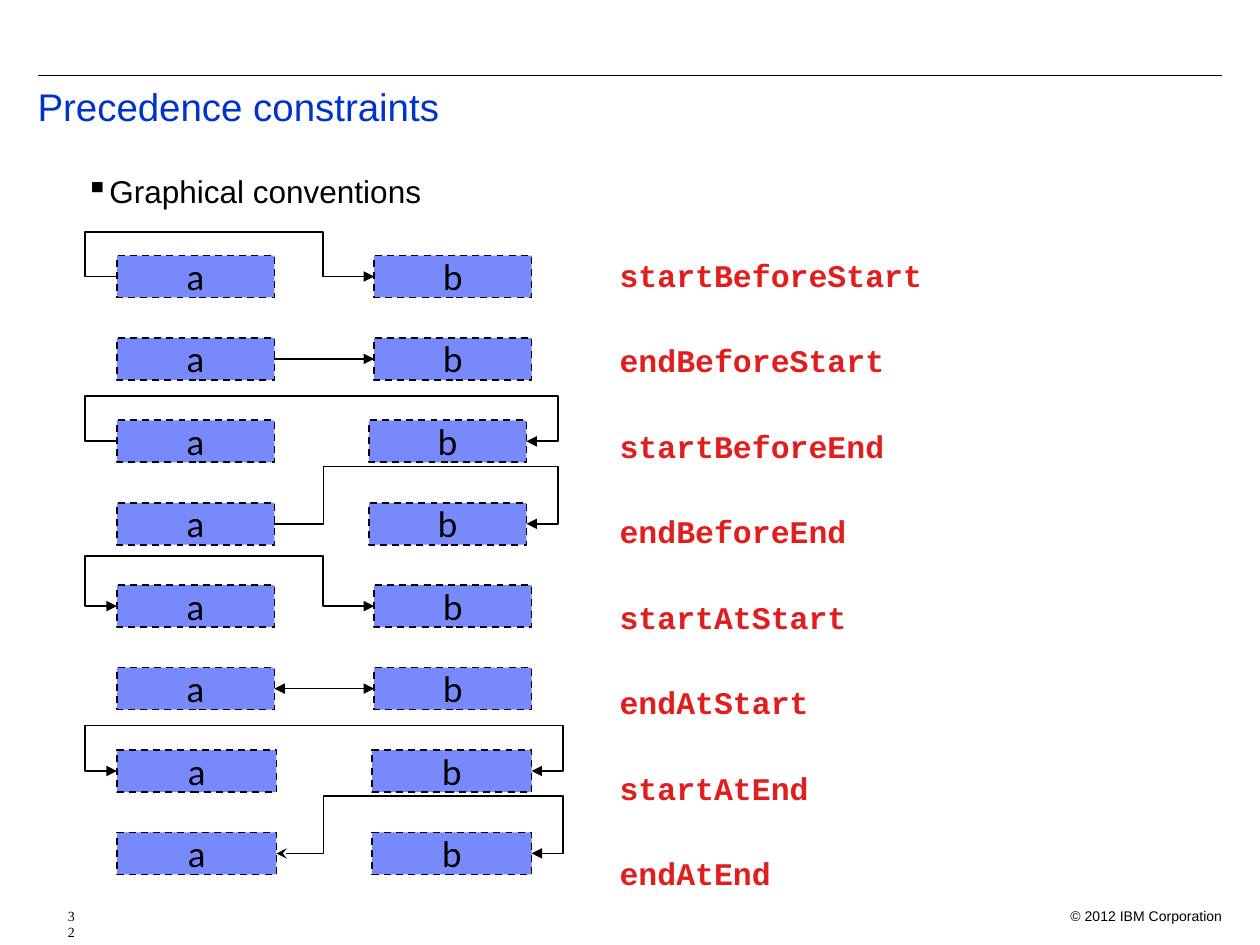
from dataclasses import dataclass

import pptx
import pptx.util
from lxml import etree
from pptx.dml.color import RGBColor
from pptx.enum.dml import MSO_LINE
from pptx.enum.shapes import MSO_CONNECTOR, MSO_SHAPE
from pptx.enum.text import MSO_ANCHOR, PP_ALIGN
from pptx.oxml.ns import qn

Pt = pptx.util.Pt

BLACK = RGBColor(0x00, 0x00, 0x00)
BLUE = RGBColor(0x00, 0x33, 0xCC)
RED = RGBColor(0xE0, 0x1E, 0x1E)
BAR = RGBColor(0x78, 0x89, 0xFB)

TOP, STEP, HIGH = 146, 47.1, 24
LEFT = 66.8
OUT, MID = 48.6, 184.8  # x of the bends left of a and between a and b
LABEL_GAP = 25.1


@dataclass
class Font:
    face: str
    size: float
    color: RGBColor
    bold: bool = False


@dataclass
class Rule:
    """One constraint: which ends of a and b it joins, and how."""
    name: str
    a_end: bool
    b_end: bool
    head: str = ""
    lift: float = 0  # height of the bend, 0 for a straight arrow
    b_left: float = 213.8
    wide: float = 90


RULES = [
    Rule("startBeforeStart", False, False, lift=25.5),
    Rule("endBeforeStart", True, False),
    Rule("startBeforeEnd", False, True, lift=26, b_left=210.8),
    Rule("endBeforeEnd", True, True, lift=32.8, b_left=210.8),
    Rule("startAtStart", False, False, "triangle", 28.8),
    Rule("endAtStart", True, False, "triangle"),
    Rule("startAtEnd", False, True, "triangle", 26, 212.6, 91.2),
    Rule("endAtEnd", True, True, "stealth", 33, 212.6, 91.2),
]


def add_run(para, text: str, font: Font) -> None:
    run = para.add_run()
    run.text = text
    run.font.name = font.face
    run.font.size = Pt(font.size)
    run.font.bold = font.bold
    run.font.color.rgb = font.color


def add_text(slide, box: tuple, lines: list[str], font: Font,
             align=PP_ALIGN.LEFT, space: float = 1.0, gap: float = 0):
    """Add a text box and return its paragraphs."""
    frame = slide.shapes.add_textbox(*map(Pt, box)).text_frame
    frame.word_wrap = True
    for i, line in enumerate(lines):
        para = frame.add_paragraph() if i else frame.paragraphs[0]
        para.alignment = align
        para.line_spacing = space
        if i:
            para.space_before = Pt(gap)
        add_run(para, line, font)
    return frame.paragraphs


def add_bullet(para, mark: str, dent: float) -> None:
    props = para._p.get_or_add_pPr()
    props.set("marL", str(Pt(dent)))
    props.set("indent", str(-Pt(dent)))
    etree.SubElement(props, qn("a:buChar")).set("char", mark)


def add_bar(slide, text: str, left: float, top: float, wide: float):
    bar = slide.shapes.add_shape(
        MSO_SHAPE.RECTANGLE, Pt(left), Pt(top), Pt(wide), Pt(HIGH))
    bar.shadow.inherit = False
    bar.fill.solid()
    bar.fill.fore_color.rgb = BAR
    bar.line.color.rgb = BLACK
    bar.line.width = Pt(1)
    bar.line.dash_style = MSO_LINE.DASH
    frame = bar.text_frame
    frame.word_wrap = False
    frame.vertical_anchor = MSO_ANCHOR.MIDDLE
    para = frame.paragraphs[0]
    para.alignment = PP_ALIGN.CENTER
    add_run(para, text, Font("Lato", 20, BLACK))
    return bar


def style_line(shape, width: float, head: str = "", tail: str = "") -> None:
    shape.line.color.rgb = BLACK
    shape.line.width = Pt(width)
    pen = shape.line._get_or_add_ln()
    for tag, kind in (("a:headEnd", head), ("a:tailEnd", tail)):
        if kind:
            etree.SubElement(pen, qn(tag)).set("type", kind)


def add_line(slide, x1: float, y1: float, x2: float, y2: float):
    line = slide.shapes.add_connector(
        MSO_CONNECTOR.STRAIGHT, Pt(x1), Pt(y1), Pt(x2), Pt(y2))
    etree.SubElement(line._element.spPr, qn("a:effectLst"))
    return line


def add_bend(slide, points: list[tuple]):
    spots = [(Pt(x), Pt(y)) for x, y in points]
    build = slide.shapes.build_freeform(*spots[0])
    build.add_line_segments(spots[1:], close=False)
    bend = build.convert_to_shape()
    bend.fill.background()
    bend.shadow.inherit = False
    return bend


def draw_rule(slide, rule: Rule, top: float) -> None:
    a_bar = add_bar(slide, "a", LEFT, top, rule.wide)
    b_bar = add_bar(slide, "b", rule.b_left, top, rule.wide)
    y = top + HIGH / 2
    x1 = LEFT + rule.wide * rule.a_end
    x2 = rule.b_left + rule.wide * rule.b_end
    if rule.lift:
        turn1 = MID if rule.a_end else OUT
        turn2 = x2 + 18 if rule.b_end else MID
        peak = y - rule.lift
        link = add_bend(slide, [(x1, y), (turn1, y), (turn1, peak),
                                (turn2, peak), (turn2, y), (x2, y)])
    else:
        link = add_line(slide, x1, y, x2, y)
        link.begin_connect(a_bar, 3)
        link.end_connect(b_bar, 1)
    style_line(link, 1, rule.head, "triangle")


def main() -> None:
    deck = pptx.Presentation()
    deck.slide_width, deck.slide_height = Pt(720), Pt(540)
    slide = deck.slides.add_slide(deck.slide_layouts[6])

    style_line(add_line(slide, 21.6, 43.2, 698.4, 43.2), 0.75)
    add_text(slide, (14.4, 46.8, 684, 50.4), ["Precedence constraints"],
             Font("Arial", 22, BLUE), space=0.9)
    body = add_text(slide, (41.8, 95, 635.8, 347.8),
                    ["Graphical conventions"], Font("Arial", 18, BLACK))
    add_bullet(body[0], "▪", 13.7)

    add_text(slide, (347, 140.4, 293, 365.8), [r.name for r in RULES],
             Font("Courier New", 18, RED, True), space=1.1, gap=LABEL_GAP)
    for i, rule in enumerate(RULES):
        draw_rule(slide, rule, TOP + i * STEP)

    add_text(slide, (597.6, 514.8, 108, 14.4), ["© 2012 IBM Corporation"],
             Font("Arial", 8, BLACK), PP_ALIGN.RIGHT)
    page = add_text(slide, (14.4, 514.8, 28.8, 14.4), ["32"],
                    Font("Times New Roman", 8, BLACK))
    page[0]._p.get_or_add_pPr().set("marL", str(Pt(17.3)))

    deck.save("out.pptx")


if __name__ == "__main__":
    main()
